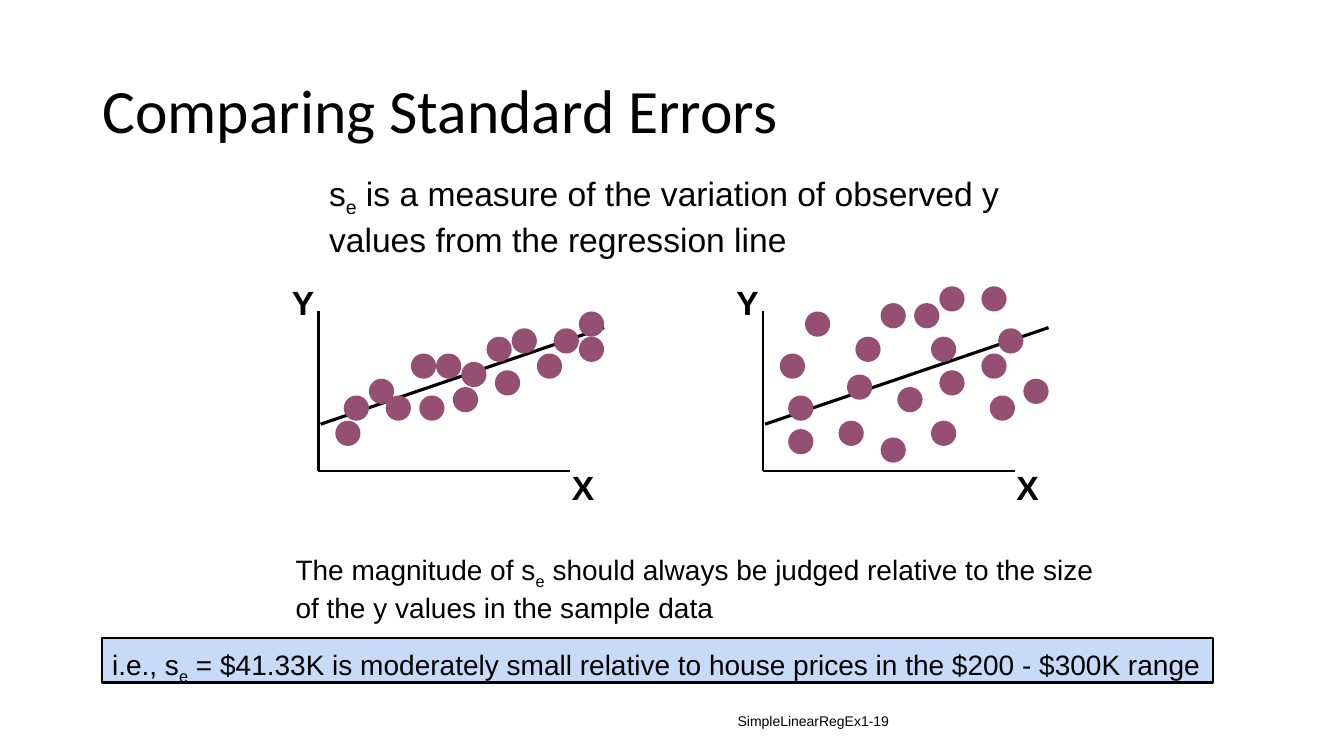
from pptx import Presentation
from pptx.dml.color import RGBColor
from pptx.enum import shapes, text
from pptx.oxml.ns import qn
from pptx.util import Pt
from lxml import etree

BLACK = RGBColor(0x00, 0x00, 0x00)
PLUM = RGBColor(0x95, 0x4F, 0x72)
PALE_BLUE = RGBColor(0xC7, 0xDA, 0xF7)

GRID = 6  # points per step of the dot positions
DOT = 18
AXIS_WIDTH, AXIS_HEIGHT = 180, 114

# Dot positions in grid steps, right and down from the top of the Y axis
SMALL_ERROR = [(2, 13), (3, 10), (31, 0), (28, 2), (8, 10), (26, 5), (23, 2), (6, 8),
               (11, 5), (21, 7), (16, 9), (12, 10), (17, 6), (20, 3), (14, 5), (31, 3)]
LARGE_ERROR = [(3, 14), (3, 10), (26, -3), (28, 2), (9, 13), (26, 5), (20, 13),
               (21, -3), (14, -1), (2, 5), (5, 0), (10, 7.5), (21, 7), (16, 9),
               (14, 15), (31, 8), (20, 3), (18, -1), (11, 3), (27, 10)]


def write(shape, parts, size=20, font="Arial", bold=False, align=text.PP_ALIGN.LEFT,
          anchor=text.MSO_ANCHOR.TOP, wrap=True, spacing=None):
    """Fill a shape with one paragraph; every second part is a subscript."""
    frame = shape.text_frame
    frame.word_wrap = wrap
    frame.vertical_anchor = anchor
    paragraph = frame.paragraphs[0]
    paragraph.alignment = align
    if spacing:
        paragraph.line_spacing = spacing
    for index, words in enumerate(parts):
        run = paragraph.add_run()
        run.text = words
        run.font.size = Pt(size)
        run.font.name = font
        run.font.bold = bold
        run.font.color.rgb = BLACK
        if index % 2:
            run.font._element.set("baseline", "-25000")


def add_text(slide, box, parts, **style):
    write(slide.shapes.add_textbox(*map(Pt, box)), parts, **style)


def add_line(slide, start, end, width):
    line = slide.shapes.add_connector(shapes.MSO_CONNECTOR.STRAIGHT,
                                      *map(Pt, (*start, *end)))
    line.line.color.rgb = BLACK
    line.line.width = Pt(width)
    etree.SubElement(line._element.spPr, qn("a:effectLst"))


def add_title(slide, box):
    title = slide.shapes.title
    title.left, title.top, title.width, title.height = map(Pt, box)
    write(title, ["Comparing Standard Errors"], size=44, font="Calibri",
          anchor=text.MSO_ANCHOR.MIDDLE, spacing=0.9)


def add_scatter(slide, left, top, dots):
    """Draw axes, regression line, observations and axis letters."""
    base = top + AXIS_HEIGHT
    add_line(slide, (left, top), (left, base), 2)
    add_line(slide, (left, base), (left + AXIS_WIDTH, base), 2)
    add_line(slide, (left + 1.5, top + 80.5), (left + 204, top + 11.5), 2.25)

    for x, y in dots:
        dot = slide.shapes.add_shape(shapes.MSO_SHAPE.OVAL, Pt(left + x * GRID),
                                     Pt(top + y * GRID), Pt(DOT), Pt(DOT))
        dot.shadow.inherit = False
        dot.fill.solid()
        dot.fill.fore_color.rgb = PLUM
        dot.line.fill.background()

    for letter, x, y in (("Y", -26, -24.5), ("X", 174, 107.5)):
        add_text(slide, (left + x, top + y, 30, 36), [letter],
                 size=24, bold=True, wrap=False)


def add_example(slide, box):
    example = slide.shapes.add_shape(shapes.MSO_SHAPE.RECTANGLE, *map(Pt, box))
    example.shadow.inherit = False
    example.fill.solid()
    example.fill.fore_color.rgb = PALE_BLUE
    example.line.color.rgb = BLACK
    example.line.width = Pt(1.5)
    write(example, ["i.e., s", "e", " = $41.33K is moderately small relative to "
                    "house prices in the $200 - $300K range"], spacing=1.1)


def main():
    deck = Presentation()
    deck.slide_width, deck.slide_height = Pt(960), Pt(540)
    slide = deck.slides.add_slide(deck.slide_layouts[5])

    add_title(slide, (66, 28.8, 828, 104.4))

    # Definition of the standard error
    add_text(slide, (228, 120, 504, 65.5),
             ["s", "e", " is a measure of the variation of observed y values "
              "from the regression line"], size=24)

    # Small and large variation side by side
    for left, dots in ((227.5, SMALL_ERROR), (545, LARGE_ERROR)):
        add_scatter(slide, left, 222.5, dots)

    # How to judge its size
    add_text(slide, (204, 391, 588, 55.5),
             ["The magnitude of s", "e", " should always be judged relative to "
              "the size of the y values in the sample data"])
    add_example(slide, (73, 456, 793.5, 31.5))

    # Page reference
    add_text(slide, (318, 500.5, 324, 28.8), ["SimpleLinearRegEx1-19"], size=10,
             align=text.PP_ALIGN.RIGHT, anchor=text.MSO_ANCHOR.MIDDLE)

    deck.save("out.pptx")


if __name__ == "__main__":
    main()
